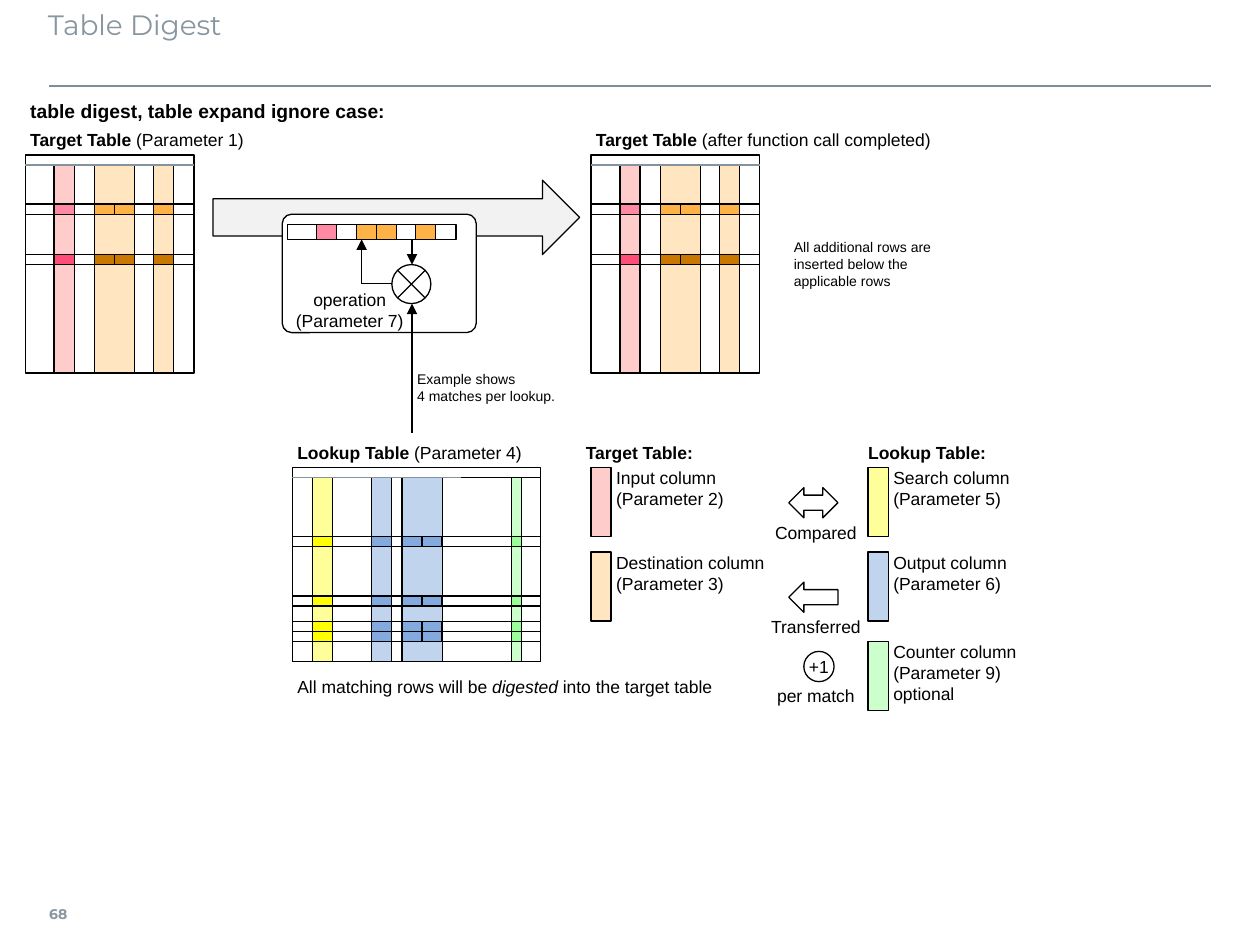
from lxml.etree import SubElement
from pptx import Presentation
from pptx.dml.color import RGBColor
from pptx.enum.shapes import MSO_CONNECTOR, MSO_SHAPE
from pptx.enum.text import MSO_ANCHOR, PP_ALIGN
from pptx.oxml.ns import qn
from pptx.util import Inches, Pt

BLACK = RGBColor(0x00, 0x00, 0x00)
WHITE = RGBColor(0xFF, 0xFF, 0xFF)
TITLE_GRAY = RGBColor(0x89, 0x96, 0xA0)
RULE_GRAY = RGBColor(0x80, 0x8D, 0x97)
HEADER_GRAY = RGBColor(0x85, 0x93, 0x9D)
ARROW_GRAY = RGBColor(0xF2, 0xF2, 0xF2)
INPUT = RGBColor(0xFF, 0xCC, 0xCC)
INPUT_MATCH = RGBColor(0xFF, 0x88, 0xA4)
INPUT_ADDED = RGBColor(0xFF, 0x4D, 0x77)
DESTINATION = RGBColor(0xFF, 0xE6, 0xC1)
DESTINATION_MATCH = RGBColor(0xFF, 0xB3, 0x46)
DESTINATION_ADDED = RGBColor(0xCA, 0x77, 0x00)
SEARCH = RGBColor(0xFF, 0xFF, 0x99)
SEARCH_MATCH = RGBColor(0xFF, 0xFF, 0x00)
OUTPUT = RGBColor(0xC1, 0xD4, 0xEE)
OUTPUT_MATCH = RGBColor(0x83, 0xAA, 0xDE)
COUNTER = RGBColor(0xCC, 0xFF, 0xCC)
COUNTER_MATCH = RGBColor(0x99, 0xFF, 0x99)

COLUMN_W = 0.16
ROW_H = 0.08
TARGET_W, TARGET_H = 1.34, 1.73
LOOKUP_W, LOOKUP_H = 1.97, 1.54

# Columns: offset from the table's left edge, width, colour
TARGET_COLUMNS = [(0.23, COLUMN_W, INPUT), (0.55, 2 * COLUMN_W, DESTINATION),
                  (1.02, COLUMN_W, DESTINATION)]
LOOKUP_COLUMNS = [(0.16, COLUMN_W, SEARCH), (0.63, COLUMN_W, OUTPUT),
                  (0.87, 2 * COLUMN_W, OUTPUT), (1.74, COLUMN_W / 2, COUNTER)]
MATCH_COLORS = {INPUT: INPUT_MATCH, DESTINATION: DESTINATION_MATCH,
                SEARCH: SEARCH_MATCH, OUTPUT: OUTPUT_MATCH, COUNTER: COUNTER_MATCH}
ADDED_COLORS = {INPUT: INPUT_ADDED, DESTINATION: DESTINATION_ADDED}

LABEL_INSETS = (0.04, 0, 0.04, 0)
EVEN_INSETS = (0.04, 0.04, 0.04, 0.04)
NO_INSETS = (0, 0, 0, 0)


def write(frame, lines, size=10, font="Arial", color=BLACK, align=PP_ALIGN.LEFT,
          anchor=MSO_ANCHOR.TOP, insets=LABEL_INSETS, wrap=False):
    """Fill a frame; each line is a list of (text, style), style being "", "b" or "i"."""
    frame.word_wrap = wrap
    frame.vertical_anchor = anchor
    (frame.margin_left, frame.margin_top,
     frame.margin_right, frame.margin_bottom) = map(Inches, insets)
    for index, line in enumerate(lines):
        paragraph = frame.add_paragraph() if index else frame.paragraphs[0]
        paragraph.alignment = align
        for text, style in line:
            run = paragraph.add_run()
            run.text = text
            run.font.name = font
            run.font.size = Pt(size)
            run.font.color.rgb = color
            run.font.bold = style == "b"
            run.font.italic = style == "i"


def add_text(shapes, x, y, w, h, lines, **options):
    box = shapes.add_textbox(Inches(x), Inches(y), Inches(w), Inches(h))
    write(box.text_frame, lines, **options)


def add_heading(shapes, x, y, w, bold, plain="", size=10):
    runs = [(bold, "b")] + ([(plain, "")] if plain else [])
    add_text(shapes, x, y, w, 0.16, [runs], size=size,
             anchor=MSO_ANCHOR.MIDDLE, insets=EVEN_INSETS)


def add_note(shapes, x, y, w, lines, size=8):
    add_text(shapes, x, y, w, 0.39, lines, size=size,
             anchor=MSO_ANCHOR.MIDDLE, insets=EVEN_INSETS)


def add_caption(shapes, x, y, text):
    add_text(shapes, x, y, 0.91, 0.2, [[(text, "")]], align=PP_ALIGN.CENTER,
             insets=NO_INSETS)


def add_outlined(shapes, x, y, w, h, fill=None, kind=MSO_SHAPE.RECTANGLE):
    shape = shapes.add_shape(kind, Inches(x), Inches(y), Inches(w), Inches(h))
    shape.shadow.inherit = False
    if fill is None:
        shape.fill.background()
    else:
        shape.fill.solid()
        shape.fill.fore_color.rgb = fill
    shape.line.color.rgb = BLACK
    shape.line.width = Pt(0.75)
    return shape


def add_line(shapes, start, end, color=BLACK, width=0.75, arrow=False):
    """Draw a straight line, with the arrowhead, if any, at its start."""
    line = shapes.add_connector(MSO_CONNECTOR.STRAIGHT, *map(Inches, start + end))
    line.line.color.rgb = color
    line.line.width = Pt(width)
    properties = line._element.spPr
    if arrow:
        SubElement(properties.find(qn("a:ln")), qn("a:headEnd"), type="triangle")
    SubElement(properties, qn("a:effectLst"))


def add_row(shapes, x, y, w, columns, colors, h=ROW_H):
    """Draw a row, its wide columns split into single cells."""
    add_outlined(shapes, x, y, w, h)
    for offset, column_w, column_color in columns:
        cell_w = min(column_w, COLUMN_W)
        for part in range(round(column_w / cell_w)):
            add_outlined(shapes, x + offset + part * cell_w, y, cell_w, h,
                         colors[column_color])


def add_data_table(shapes, x, y, w, h, columns, rows):
    """Draw a table diagram; rows are (top, colours)."""
    body_y = y + ROW_H
    for offset, column_w, color in columns:
        add_outlined(shapes, x + offset, body_y, column_w, h - ROW_H, color)
    add_outlined(shapes, x, y, w, h)
    add_outlined(shapes, x, body_y, w, h - ROW_H)
    add_line(shapes, (x, body_y), (x + TARGET_W, body_y), HEADER_GRAY)
    for row_y, colors in rows:
        add_row(shapes, x, row_y, w, columns, colors)


def add_legend_entry(shapes, x, y, color, *lines):
    add_outlined(shapes, x, y, COLUMN_W, 0.55, color)
    add_text(shapes, x + COLUMN_W, y, 1.34, 0.55, [[(line, "")] for line in lines])


def add_operation(shapes):
    panel = add_outlined(shapes, 2.24, 1.7, 1.54, 0.94, WHITE, MSO_SHAPE.ROUNDED_RECTANGLE)
    panel.adjustments[0] = 0.08
    add_row(shapes, 2.28, 1.78, TARGET_W, TARGET_COLUMNS, MATCH_COLORS, h=0.12)
    add_outlined(shapes, 3.11, 2.1, 0.31, 0.31, kind=MSO_SHAPE.FLOWCHART_SUMMING_JUNCTION)
    add_caption(shapes, 2.32, 2.29, "operation")
    add_caption(shapes, 2.32, 2.46, "(Parameter 7)")
    add_line(shapes, (3.27, 2.41), (3.27, 3.44), arrow=True)
    add_line(shapes, (3.27, 2.1), (3.27, 1.9), arrow=True)
    add_line(shapes, (2.87, 2.25), (3.11, 2.25))
    add_line(shapes, (2.87, 1.9), (2.87, 2.25), arrow=True)


def add_legend(shapes):
    add_heading(shapes, 4.61, 3.51, 1.18, "Target Table:")
    add_heading(shapes, 6.85, 3.51, 1.18, "Lookup Table:")
    add_legend_entry(shapes, 4.69, 3.71, INPUT, "Input column", "(Parameter 2)")
    add_legend_entry(shapes, 4.69, 4.38, DESTINATION, "Destination column", "(Parameter 3)")
    add_legend_entry(shapes, 6.89, 3.71, SEARCH, "Search column", "(Parameter 5)")
    add_legend_entry(shapes, 6.89, 4.38, OUTPUT, "Output column", "(Parameter 6)")
    add_legend_entry(shapes, 6.89, 5.09, COUNTER, "Counter column", "(Parameter 9)", "optional")
    add_outlined(shapes, 6.26, 3.87, 0.39, 0.24, kind=MSO_SHAPE.LEFT_RIGHT_ARROW)
    add_outlined(shapes, 6.26, 4.62, 0.39, 0.24, kind=MSO_SHAPE.LEFT_ARROW)
    increment = add_outlined(shapes, 6.38, 5.17, 0.24, 0.24, kind=MSO_SHAPE.OVAL)
    write(increment.text_frame, [[("+1", "")]], align=PP_ALIGN.CENTER,
          anchor=MSO_ANCHOR.MIDDLE, insets=EVEN_INSETS)
    for y, caption in [(4.14, "Compared"), (4.89, "Transferred"), (5.44, "per match")]:
        add_caption(shapes, 6.02, y, caption)


def main():
    deck = Presentation()
    deck.slide_width, deck.slide_height = Inches(10), Inches(7.5)
    shapes = deck.slides.add_slide(deck.slide_layouts[6]).shapes

    add_line(shapes, (0.39, 0.68), (9.61, 0.68), RULE_GRAY, 1)
    add_text(shapes, 0.39, 7.06, 0.35, 0.39, [[("68", "b")]], size=8, font="Montserrat",
             color=TITLE_GRAY, anchor=MSO_ANCHOR.MIDDLE, insets=(0, 0.05, 0.08, 0.05))
    add_text(shapes, 0.38, 0.01, 9.21, 0.63, [[("Table Digest", "")]], size=16,
             font="Montserrat", color=TITLE_GRAY, insets=(0, 0.05, 0.1, 0.05), wrap=True)
    add_heading(shapes, 0.2, 0.8, 3.2, "table digest, table expand ignore case:", size=11)

    add_outlined(shapes, 1.69, 1.43, 2.91, 0.59, ARROW_GRAY, MSO_SHAPE.RIGHT_ARROW)
    target_rows = [(1.62, MATCH_COLORS), (2.02, ADDED_COLORS)]
    for x, state in [(0.2, "(Parameter 1)"), (4.69, "(after function call completed)")]:
        add_heading(shapes, x, 1.03, 3.2, "Target Table ", state)
        add_data_table(shapes, x, 1.23, TARGET_W, TARGET_H, TARGET_COLUMNS, target_rows)

    add_heading(shapes, 2.32, 3.51, 2.1, "Lookup Table ", "(Parameter 4)")
    lookup_rows = [(y, MATCH_COLORS) for y in (4.26, 4.73, 4.93, 5.01)]
    add_data_table(shapes, 2.32, 3.71, LOOKUP_W, LOOKUP_H, LOOKUP_COLUMNS, lookup_rows)

    add_operation(shapes.add_group_shape().shapes)
    add_legend(shapes)
    add_note(shapes, 2.32, 5.25, 3.78, [[("All matching rows will be ", ""), ("digested", "i"),
                                         (" into the target table", "")]], size=10)
    add_note(shapes, 3.27, 2.88, 1.42, [[("Example shows", "")], [("4 matches per lookup.", "")]])
    add_note(shapes, 6.26, 1.9, 1.42, [[("All additional rows are", "")],
                                       [("inserted below the", "")], [("applicable rows", "")]])
    deck.save("out.pptx")


if __name__ == "__main__":
    main()
